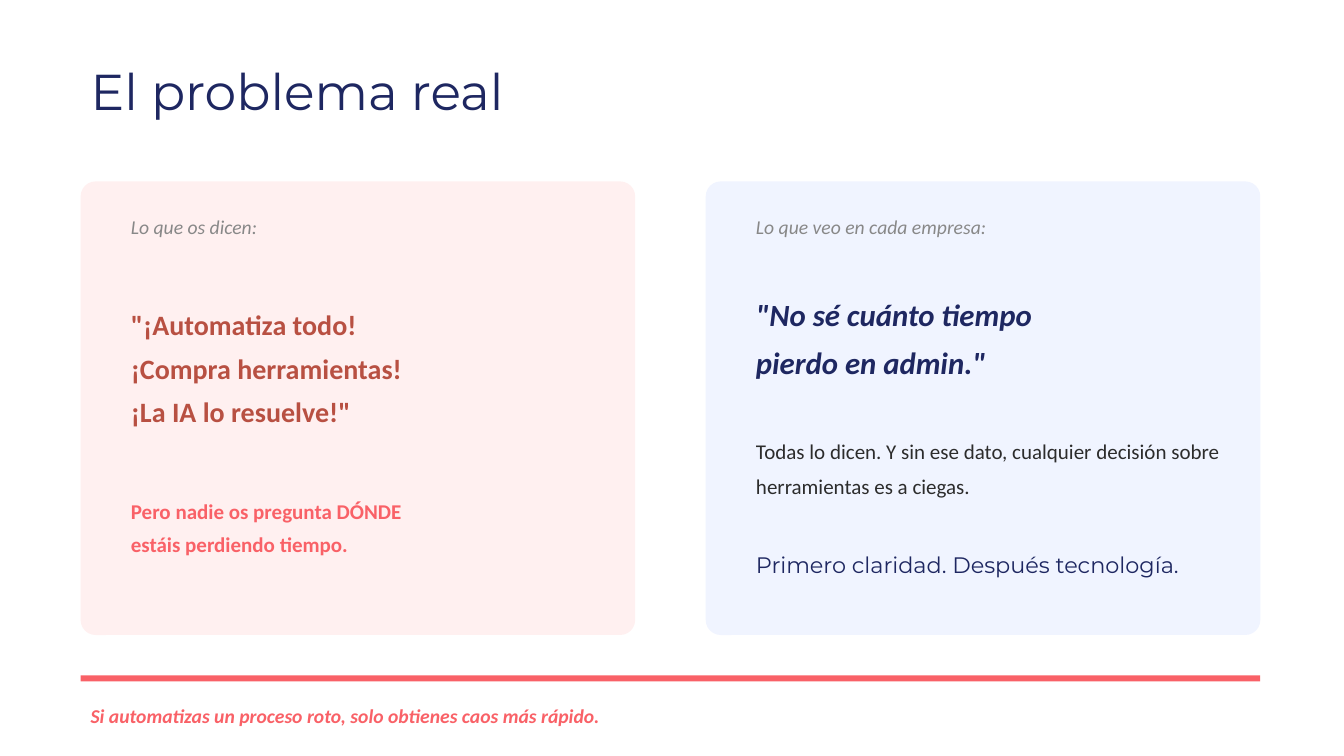
"""Build the slide "El problema real": two contrasting cards above a closing line."""
from dataclasses import dataclass

from pptx import Presentation
from pptx.dml.color import RGBColor
from pptx.enum.shapes import MSO_SHAPE as Preset
from pptx.enum.text import MSO_ANCHOR as Anchor
from pptx.util import Inches, Pt


@dataclass(frozen=True)
class Theme:
    heading_font: str = "Montserrat"
    body_font: str = "Calibri"
    navy: str = "1E2761"
    coral: str = "F96167"
    brick: str = "B85042"
    gray: str = "888888"
    ink: str = "2C2C2C"
    pink_card: str = "FFF0F0"
    blue_card: str = "F0F4FF"
    title: int = 36
    quote: int = 22
    slogan: int = 20
    claim: int = 16
    body: int = 15
    label: int = 14


theme = Theme()


def add_text(area, lines, size, color, font=theme.body_font, bold=False, italic=False, spacing=None):
    box = slide.shapes.add_textbox(*map(Inches, area))
    frame = box.text_frame
    frame.word_wrap = True
    frame.vertical_anchor = Anchor.MIDDLE
    for index, line in enumerate(lines):
        para = frame.add_paragraph() if index else frame.paragraphs[0]
        if spacing:
            para.line_spacing = spacing
        span = para.add_run()
        span.text = line
        span.font.name = font
        span.font.size = Pt(size)
        span.font.bold = bold
        span.font.italic = italic
        span.font.color.rgb = RGBColor.from_string(color)


def add_block(preset, area, color):
    block = slide.shapes.add_shape(preset, *map(Inches, area))
    block.shadow.inherit = False
    block.fill.solid()
    block.fill.fore_color.rgb = RGBColor.from_string(color)
    block.line.fill.background()
    return block


deck = Presentation()
deck.slide_width = Inches(13.33)
deck.slide_height = Inches(7.5)
slide = deck.slides.add_slide(deck.slide_layouts[6])

margin, content_width = 0.8, 11.7
card_top, card_width, card_height = 1.8, 5.5, 4.5
card_padding, text_width = 0.4, 4.8

add_text((margin, 0.5, 8, 0.8), ["El problema real"], theme.title, theme.navy, theme.heading_font)

cards = [
    (margin, theme.pink_card, "Lo que os dicen:", [
        (2.6, 2, ['"¡Automatiza todo!', "¡Compra herramientas!", '¡La IA lo resuelve!"'],
         dict(size=theme.slogan, color=theme.brick, bold=True, spacing=1.3)),
        (4.8, 0.8, ["Pero nadie os pregunta DÓNDE", "estáis perdiendo tiempo."],
         dict(size=theme.body, color=theme.coral, bold=True, spacing=1.3)),
    ]),
    (margin + content_width - card_width, theme.blue_card, "Lo que veo en cada empresa:", [
        (2.7, 1.2, ['"No sé cuánto tiempo', 'pierdo en admin."'],
         dict(size=theme.quote, color=theme.navy, bold=True, italic=True, spacing=1.3)),
        (4, 1.2, ["Todas lo dicen. Y sin ese dato, cualquier decisión sobre herramientas es a ciegas."],
         dict(size=theme.body, color=theme.ink, spacing=1.4)),
        (5.3, 0.6, ["Primero claridad. Después tecnología."],
         dict(size=theme.claim, color=theme.navy, font=theme.heading_font)),
    ]),
]

for left, fill, label, passages in cards:
    card = add_block(Preset.ROUNDED_RECTANGLE, (left, card_top, card_width, card_height), fill)
    card.adjustments[0] = 0.033
    text_left = left + card_padding
    add_text((text_left, 2, text_width, 0.5), [label], theme.label, theme.gray, italic=True)
    for top, height, lines, style in passages:
        add_text((text_left, top, text_width, height), lines, **style)

add_block(Preset.RECTANGLE, (margin, 6.7, content_width, 0.06), theme.coral)
add_text((margin, 6.85, content_width, 0.5),
         ["Si automatizas un proceso roto, solo obtienes caos más rápido."],
         theme.label, theme.coral, bold=True, italic=True)

deck.save("out.pptx")
